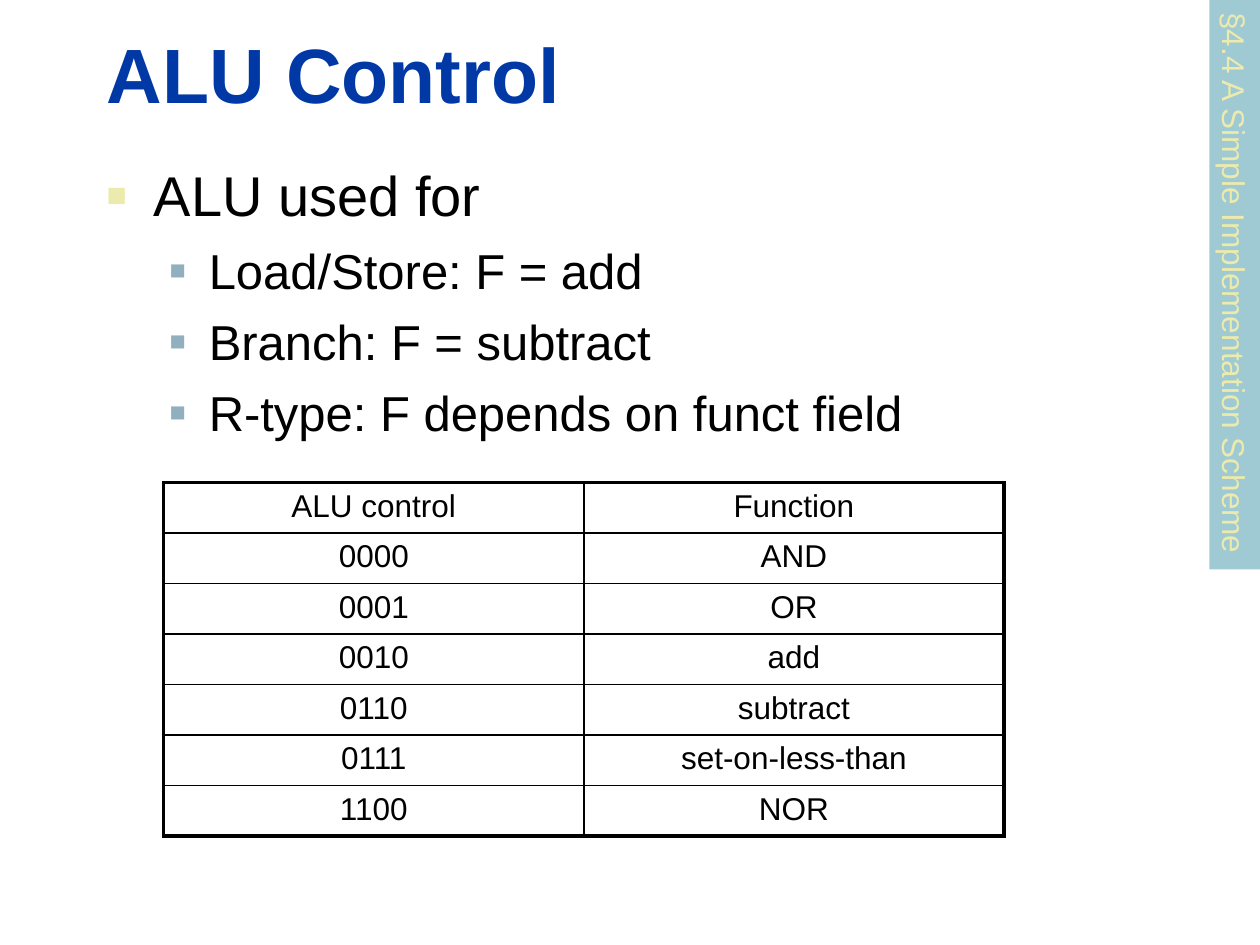
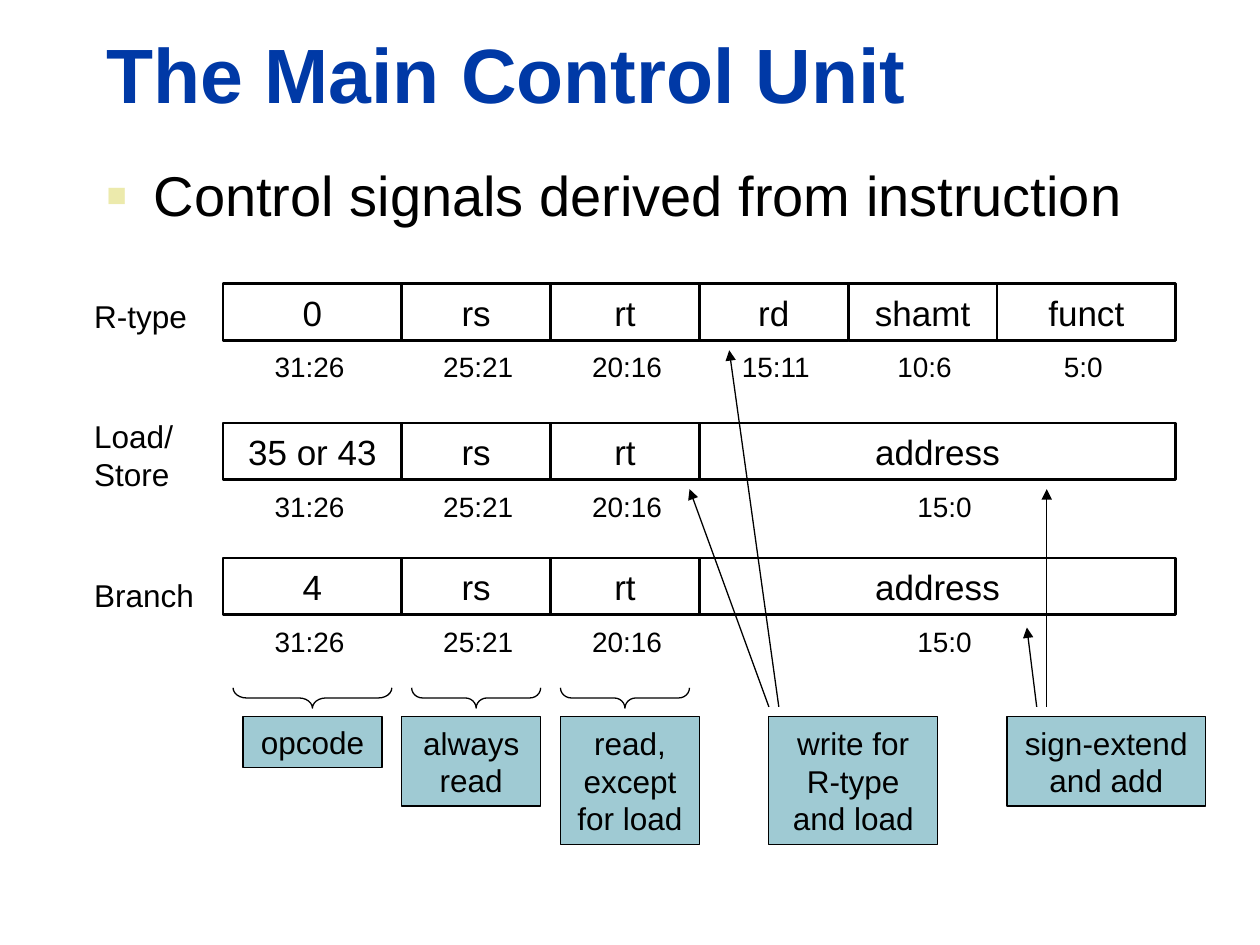
"""Builds two slides on ALU control and the main control unit."""
from lxml.etree import SubElement as Sub
from pptx import Presentation
from pptx.dml.color import RGBColor as Rgb
from pptx.enum.shapes import MSO_CONNECTOR as Conn, MSO_SHAPE as Kind
from pptx.enum.text import MSO_ANCHOR as Anchor, PP_ALIGN as Align
from pptx.oxml.ns import qn
from pptx.util import Cm, Pt

INK = {"title": "0039A6", "text": "000000", "line": "000000", "fill": "9FCAD3",
       "pale": "ECEAAC", "steel": "91AFBF"}
LEVELS = [(32, 0.95, 0.95, "pale", 60), (28, 2.06, 0.79, "steel", 55)]


def write(para, text, size=18, ink="text", bold=False, align=Align.LEFT, gap=0):
    """Put formatted text into a paragraph."""
    para.text = text
    para.alignment = align
    if gap:
        para.space_before = Pt(gap)
    for run in para.runs:
        font = run.font
        font.name, font.size, font.bold = "Arial", Pt(size), bold
        font.color.rgb = Rgb.from_string(INK[ink])


class Deck:
    """Holds the style and the current slide."""

    def __init__(self):
        """Start an empty deck."""
        self.file = Presentation()
        self.file.slide_width, self.file.slide_height = Cm(25.4), Cm(19.05)

    def page(self, title, points):
        """Add a slide with its title and bulleted points."""
        self.slide = self.file.slides.add_slide(self.file.slide_layouts[6])
        self.shapes = self.slide.shapes
        self.text(title, 1.9, 0.41, 22.94, 2.11, anchor=Anchor.BOTTOM,
                  size=44, ink="title", bold=True)
        self.points(points)

    def text(self, text, x, y, w, h, anchor=Anchor.TOP, **fmt):
        """Add a text box."""
        frame = self.shapes.add_textbox(Cm(x), Cm(y), Cm(w), Cm(h)).text_frame
        frame.word_wrap = True
        frame.vertical_anchor = anchor
        write(frame.paragraphs[0], text, **fmt)

    def points(self, points):
        """Add the body text, one bullet for each (level, text)."""
        box = self.shapes.add_textbox(Cm(1.9), Cm(3.12), Cm(22.99),
                                      Cm(0.2 + 1.7 * len(points)))
        frame = box.text_frame
        frame.word_wrap = True
        for i, (level, text) in enumerate(points):
            para = frame.add_paragraph() if i else frame.paragraphs[0]
            size, left, hang, ink, scale = LEVELS[level]
            props = para._p.get_or_add_pPr()
            props.set("marL", str(Cm(left)))
            props.set("indent", str(-Cm(hang)))
            Sub(Sub(props, qn("a:buClr")), qn("a:srgbClr"), val=INK[ink])
            Sub(props, qn("a:buSzPct"), val=str(scale * 1000))
            Sub(props, qn("a:buFont"), typeface="Arial")
            Sub(props, qn("a:buChar"), char="■")
            write(para, text, size=size, gap=7 if i else 0)

    def shape(self, kind, x, y, w, h, fill=None, line=0, turn=0):
        """Add a plain preset shape."""
        shape = self.shapes.add_shape(kind, Cm(x), Cm(y), Cm(w), Cm(h))
        shape.shadow.inherit = False
        shape.rotation = turn
        if fill:
            shape.fill.solid()
            shape.fill.fore_color.rgb = Rgb.from_string(INK[fill])
        else:
            shape.fill.background()
        if line:
            shape.line.width = Pt(line)
            shape.line.color.rgb = Rgb.from_string(INK["line"])
        else:
            shape.line.fill.background()
        return shape

    def box(self, text, x, y, w, h, fill=None, line=0, turn=0, wrap=True, **fmt):
        """Add a rectangle with text."""
        frame = self.shape(Kind.RECTANGLE, x, y, w, h, fill, line, turn).text_frame
        frame.word_wrap = wrap
        write(frame.paragraphs[0], text, **fmt)

    def brace(self, mid, y, span, bend):
        """Add a brace that points down, centred on mid."""
        thick = 0.41
        shape = self.shape(Kind.LEFT_BRACE, mid - thick / 2, y - span / 2,
                           thick, span, line=0.75, turn=270)
        shape.adjustments[0] = bend

    def arrow(self, x1, y1, x2, y2):
        """Add a straight arrow."""
        link = self.shapes.add_connector(Conn.STRAIGHT, Cm(x1), Cm(y1), Cm(x2), Cm(y2))
        link.line.width = Pt(0.75)
        link.line.color.rgb = Rgb.from_string(INK["line"])
        Sub(link.line._get_or_add_ln(), qn("a:tailEnd"), type="triangle")
        Sub(link._element.spPr, qn("a:effectLst"))

    def table(self, rows, x, y, wide, high):
        """Add a ruled table with a heavy frame."""
        last, end = len(rows) - 1, len(rows[0]) - 1
        table = self.shapes.add_table(last + 1, end + 1, Cm(x), Cm(y),
                                      Cm(wide * (end + 1)), Cm(high * (last + 1))).table
        table.first_row = table.horz_banding = False
        for r, row in enumerate(rows):
            for c, text in enumerate(row):
                cell = table.cell(r, c)
                write(cell.text_frame.paragraphs[0], text, align=Align.CENTER)
                rules = {"L": 1 if c else 2.25,
                         "R": 2.25 if c == end else 1,
                         "T": {0: 2.25, 1: 1.5}.get(r, 1),
                         "B": {0: 1.5, last: 2.25}.get(r, 1)}
                props = cell._tc.get_or_add_tcPr()
                for side, width in rules.items():
                    rule = Sub(props, qn("a:ln" + side), w=str(Pt(width)))
                    Sub(Sub(rule, qn("a:solidFill")), qn("a:srgbClr"), val=INK["line"])
                cell.fill.background()


def alu(deck):
    """Build the ALU slide."""
    deck.page("ALU Control", [(0, "ALU used for"), (1, "Load/Store: F = add"),
                              (1, "Branch: F = subtract"),
                              (1, "R-type: F depends on funct field")])
    deck.box("§4.4 A Simple Implementation Scheme", 19.15, 5.23, 11.48, 1.02,
             fill="fill", turn=90, wrap=False, ink="pale")
    deck.table([("ALU control", "Function"), ("0000", "AND"), ("0001", "OR"),
                ("0010", "add"), ("0110", "subtract"),
                ("0111", "set-on-less-than"), ("1100", "NOR")],
               3.3, 9.73, 8.47, 1.016)


def control(deck):
    """Build the control unit slide."""
    deck.page("The Main Control Unit", [(0, "Control signals derived from instruction")])
    left, mid = 4.5, Align.CENTER
    regs = [("rs", 3, "25:21", 0.04), ("rt", 3, "20:16", 0.04)]
    tail = [("address", 9.6, "15:0", 0.14)]
    rows = [("R-type", 5.87, 5.72, "0",
             [("rd", 3, "15:11", 0.04), ("shamt", 3, "10:6", 0.04),
              ("funct", 3.6, "5:0", -0.06)]),
            ("Load/\nStore", 8.28, 8.53, "35 or 43", tail),
            ("Branch", 11.48, 11.25, "4", tail)]
    for name, high, top, code, rest in rows:
        deck.text(name, 1.65, high, 2.8, 1)
        x = left
        for text, w, bits, shift in [(code, 3.6, "31:26", -0.06)] + regs + rest:
            deck.box(text, x, top, w, 1.14, line=1.5, size=20, align=mid)
            deck.text(bits, x + shift, top + 1.21, w, 0.94, size=16, align=mid)
            x += w
    x = left
    for w, bend in [(3.6, 0.665), (3, 0.539), (3, 0.539)]:
        deck.brace(x + w / 2, 14.07, w - 0.4, bend)
        x += w
    for text, x, w, lines in [("opcode", 4.9, 2.8, 1), ("always read", 8.1, 2.8, 2),
                              ("read, except for load", 11.3, 2.8, 3),
                              ("write for R-type and load", 15.5, 3.4, 3),
                              ("sign-extend and add", 20.3, 4, 2)]:
        deck.box(text, x, 14.45, w, 0.26 + 0.77 * lines, fill="fill", line=0.75,
                 align=mid)
    for x, far, top in [(15.5, 13.9, 9.86), (15.7, 14.7, 7.06),
                        (20.9, 20.7, 12.65), (21.1, 21.1, 9.86)]:
        deck.arrow(x, 14.25, far, top)


def main():
    """Build and save the deck."""
    deck = Deck()
    alu(deck)
    control(deck)
    deck.file.save("out.pptx")


if __name__ == "__main__":
    main()
